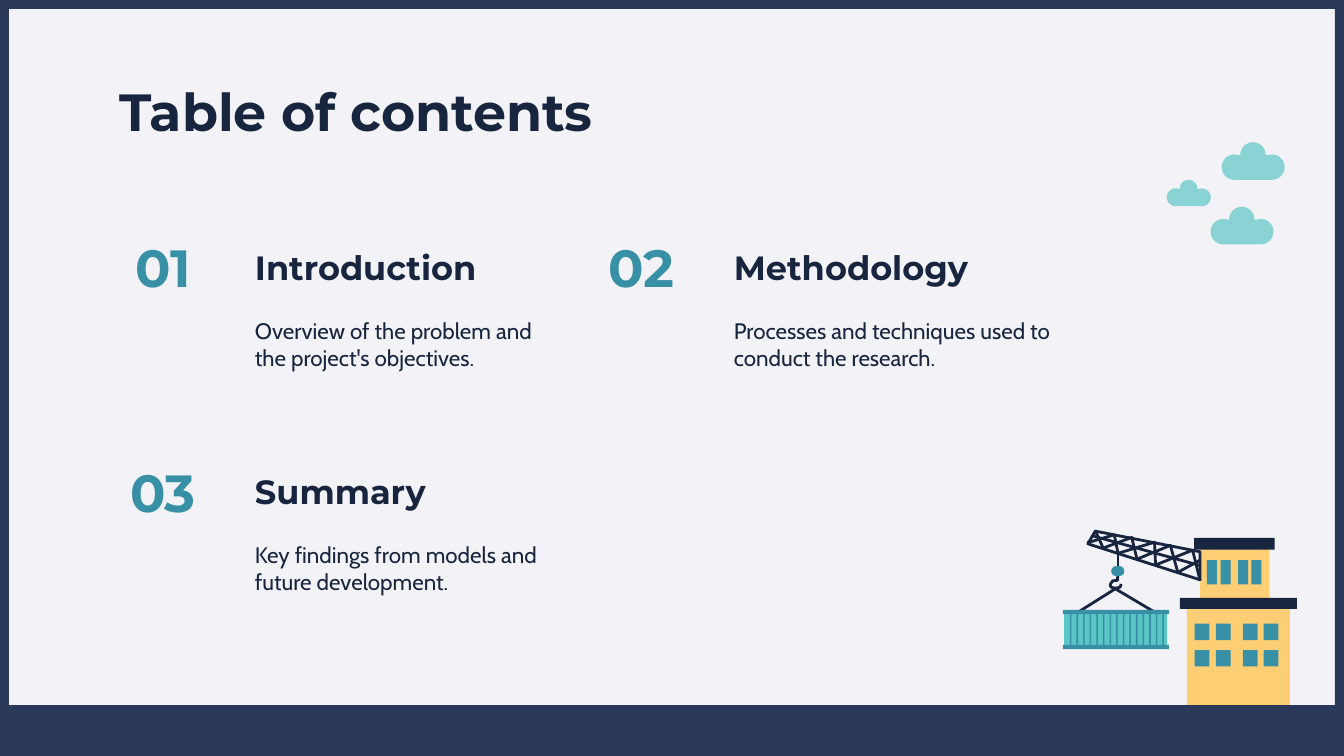
"""Build the table of contents slide with clouds and a crane lifting a container."""
import math
from dataclasses import dataclass

from lxml import etree
from pptx import Presentation
from pptx import util as u
from pptx.dml.color import RGBColor
from pptx.enum import shapes, text
from pptx.oxml import ns

NAVY = RGBColor(0x2A, 0x39, 0x5A)
INK = RGBColor(0x17, 0x25, 0x3F)
TEAL = RGBColor(0x37, 0x90, 0xA5)
AQUA = RGBColor(0x5B, 0xC6, 0xC6)
YELLOW = RGBColor(0xFE, 0xCE, 0x74)
PAPER = RGBColor(0xF3, 0xF2, 0xF7)

WIDTH, HEIGHT = 25.4, 14.29
COLUMNS = (2.0, 11.05)
ROW_TOP, ROW_STEP = 3.96, 4.24
RECT = shapes.MSO_SHAPE.RECTANGLE

Point = tuple[float, float]


@dataclass(frozen=True)
class Box:
    left: float
    top: float
    width: float
    height: float

    def lengths(self) -> list[u.Cm]:
        return [u.Cm(v) for v in (self.left, self.top, self.width, self.height)]


@dataclass(frozen=True)
class Style:
    font: str
    size: int
    color: RGBColor
    bold: bool = True
    align: text.PP_ALIGN = text.PP_ALIGN.LEFT
    anchor: text.MSO_ANCHOR = text.MSO_ANCHOR.MIDDLE


@dataclass(frozen=True)
class Section:
    column: int
    row: int
    number: str
    heading: str
    body: str
    body_width: float


@dataclass(frozen=True)
class Cloud:
    left: float
    top: float
    scale: float = 1


TITLE = Style("Montserrat", 28, INK, anchor=text.MSO_ANCHOR.TOP)
NUMBER = Style("Montserrat", 28, TEAL, align=text.PP_ALIGN.CENTER)
HEADING = Style("Montserrat", 18, INK)
BODY = Style("Cabin", 12, INK, bold=False, anchor=text.MSO_ANCHOR.TOP)

SECTIONS = (
    Section(0, 0, "01", "Introduction", "Overview of the problem and the project's objectives.", 6.05),
    Section(1, 0, "02", "Methodology", "Processes and techniques used to conduct the research.", 6.58),
    Section(0, 1, "03", "Summary", "Key findings from models and future development.", 6.63),
)
CLOUDS = (Cloud(22.05, 3.4, 0.7), Cloud(23.09, 2.69), Cloud(22.88, 3.91))

BOOM = ((20.7, 10.04), (22.68, 10.43), (22.68, 10.96), (20.56, 10.28))
SLING = ((20.38, 11.57), (21.08, 11.13), (21.82, 11.57))
CRANE_LINES = (
    ((20.55, 10.26), (21.06, 10.11), (21.13, 10.46), (21.82, 10.25),
     (21.84, 10.68), (22.54, 10.4), (22.68, 10.97)),
    ((20.7, 10.03), (20.85, 10.36), (21.39, 10.16), (21.49, 10.57),
     (22.12, 10.31), (22.26, 10.82), (22.68, 10.59)),
    ((20.65, 10.13), (22.68, 10.69)),
    ((21.13, 10.46), (21.13, 10.82)),
    ((21.13, 10.8), (21.12, 10.97), (21.03, 10.98), (20.98, 11.05),
     (21.0, 11.1), (21.08, 11.12), (21.17, 11.1), (21.19, 11.04)),
)


def add_text(s, box: Box, content: str, style: Style) -> None:
    tf = s.shapes.add_textbox(*box.lengths()).text_frame
    tf.word_wrap = True
    tf.vertical_anchor = style.anchor
    tf.margin_left = tf.margin_right = tf.margin_top = tf.margin_bottom = u.Cm(0.25)
    p = tf.paragraphs[0]
    p.text = content
    p.alignment = style.align
    p.font.name, p.font.size, p.font.bold = style.font, u.Pt(style.size), style.bold
    p.font.color.rgb = style.color


def paint(sp, color: RGBColor) -> None:
    sp.shadow.inherit = False
    sp.fill.solid()
    sp.fill.fore_color.rgb = color
    sp.line.fill.background()


def add_block(s, box: Box, color: RGBColor, kind=RECT):
    sp = s.shapes.add_shape(kind, *box.lengths())
    paint(sp, color)
    return sp


def add_outline(s, points: list[Point], close: bool):
    first, *rest = [(u.Cm(x), u.Cm(y)) for x, y in points]
    builder = s.shapes.build_freeform(*first)
    builder.add_line_segments(rest, close=close)
    return builder.convert_to_shape()


def add_stroke(s, points: tuple[Point, ...], close: bool = False) -> None:
    sp = add_outline(s, points, close)
    sp.shadow.inherit = False
    sp.fill.background()
    sp.line.color.rgb = INK
    sp.line.width = u.Pt(1.5)


def arc(cx: float, cy: float, start: int, end: int, radius: float = 0.24) -> list[Point]:
    angles = (math.radians(a) for a in range(start, end + 1, 10))
    return [(cx + radius * math.cos(a), cy + radius * math.sin(a)) for a in angles]


def add_cloud(s, cloud: Cloud) -> None:
    lobes = arc(0.24, 0.47, 90, 290) + arc(0.59, 0.24, 180, 360) + arc(0.95, 0.47, 250, 450)
    points = [(cloud.left + x * cloud.scale, cloud.top + y * cloud.scale) for x, y in lobes]
    sp = add_outline(s, points, True)
    paint(sp, AQUA)
    color = sp.fill._xPr.find(ns.qn("a:solidFill"))[0]
    etree.SubElement(color, ns.qn("a:alpha"), val="69000")


def add_section(s, section: Section) -> None:
    left = COLUMNS[section.column]
    top = ROW_TOP + section.row * ROW_STEP
    add_text(s, Box(left, top + 0.26, 2.16, 1.65), section.number, NUMBER)
    add_text(s, Box(left + 2.57, top, 5.72, 2.16), section.heading, HEADING)
    add_text(s, Box(left + 2.57, top + 1.78, section.body_width, 1.6), section.body, BODY)


def add_building(s) -> None:
    add_block(s, Box(22.68, 10.31, 1.31, 3.12), YELLOW)
    add_block(s, Box(22.43, 11.43, 1.95, 2.01), YELLOW)
    add_block(s, Box(22.57, 10.17, 1.52, 0.22), INK)
    add_block(s, Box(22.3, 11.3, 2.21, 0.21), INK)
    for left in (22.81, 23.07, 23.4, 23.65):
        add_block(s, Box(left, 10.59, 0.19, 0.46), TEAL)
    for top in (11.79, 12.29):
        for left in (22.58, 22.98, 23.49, 23.88):
            add_block(s, Box(left, top, 0.28, 0.31), TEAL)


def add_container(s) -> None:
    add_stroke(s, SLING)
    add_block(s, Box(20.11, 11.57, 1.95, 0.65), AQUA)
    for i in range(15):
        add_block(s, Box(20.22 + i * 1.75 / 14, 11.57, 0.03, 0.66), TEAL)
    for top in (11.53, 12.19):
        add_block(s, Box(20.09, top, 2.0, 0.08), TEAL)


def add_crane(s) -> None:
    add_stroke(s, BOOM, close=True)
    for points in CRANE_LINES:
        add_stroke(s, points)
    pulley = add_block(s, Box(21.0, 10.7, 0.25, 0.19), TEAL, shapes.MSO_SHAPE.ROUNDED_RECTANGLE)
    pulley.adjustments[0] = 0.5


def main() -> None:
    prs = Presentation()
    prs.slide_width, prs.slide_height = u.Cm(WIDTH), u.Cm(HEIGHT)
    s = prs.slides.add_slide(prs.slide_layouts[6])
    s.background.fill.solid()
    s.background.fill.fore_color.rgb = PAPER
    frame = add_block(s, Box(0, 0, WIDTH, HEIGHT), NAVY, shapes.MSO_SHAPE.FRAME)
    frame.adjustments[0] = 0.012
    add_text(s, Box(2.0, 1.24, 21.4, 1.6), "Table of contents", TITLE)
    for section in SECTIONS:
        add_section(s, section)
    for cloud in CLOUDS:
        add_cloud(s, cloud)
    add_building(s)
    add_container(s)
    add_crane(s)
    add_block(s, Box(0, 13.33, WIDTH, 0.96), NAVY)
    prs.save("out.pptx")


if __name__ == "__main__":
    main()
